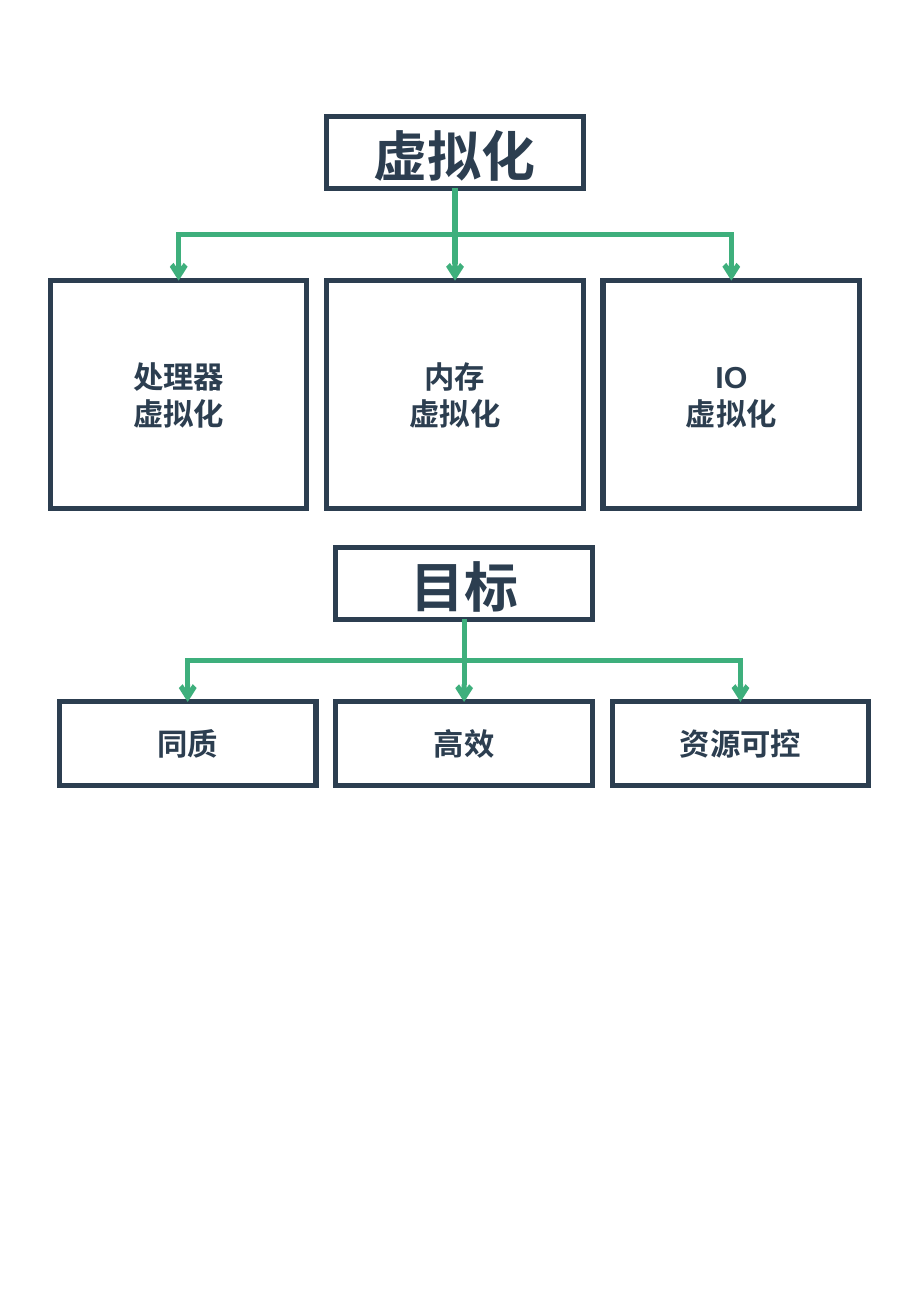
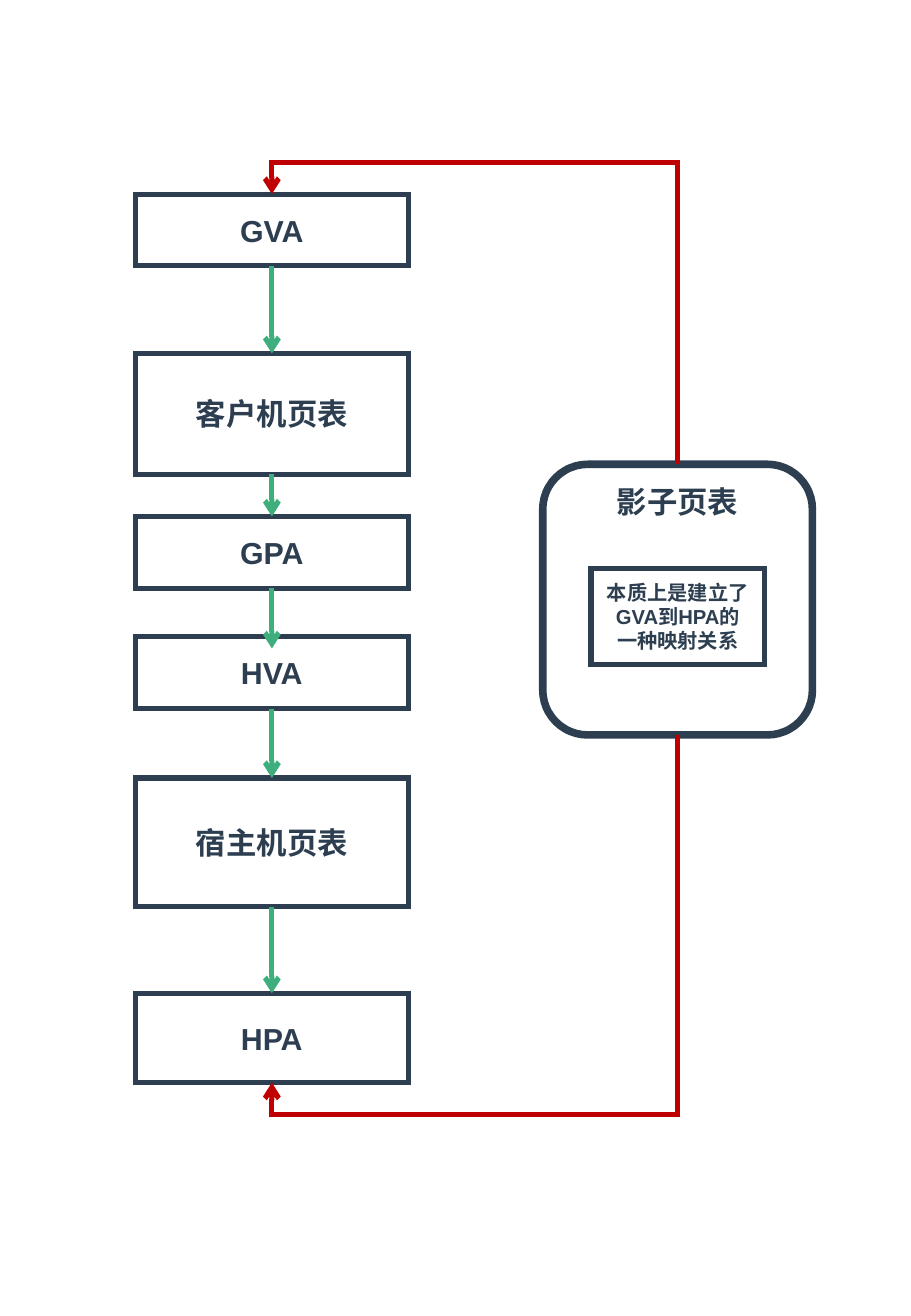
from lxml import etree
from pptx import Presentation, util as u
from pptx.dml import color
from pptx.enum import shapes, text
from pptx.oxml import ns

Cm, Pt = u.Cm, u.Pt
rgb = color.RGBColor.from_string
NAVY, GREEN, RED = "2C3E50", "3EAF7C", "C00000"
TOP, MIDDLE = text.MSO_ANCHOR.TOP, text.MSO_ANCHOR.MIDDLE
RECT, ROUND = shapes.MSO_SHAPE.RECTANGLE, shapes.MSO_SHAPE.ROUNDED_RECTANGLE
STRAIGHT, ELBOW = shapes.MSO_CONNECTOR.STRAIGHT, shapes.MSO_CONNECTOR.ELBOW


def box(s, x, y, w, h, lines, size=18, anchor=MIDDLE, kind=RECT, weight=3):
    sp = s.shapes.add_shape(kind, Cm(x), Cm(y), Cm(w), Cm(h))
    sp.shadow.inherit = False
    sp.fill.background()
    sp.line.color.rgb = rgb(NAVY)
    sp.line.width = Pt(weight)
    etree.SubElement(sp.line._ln, ns.qn("a:miter"), lim="800000")
    tf = sp.text_frame
    tf.word_wrap = True
    tf.vertical_anchor = anchor
    fmt = {"name": "Arial", "size": Pt(size), "bold": True}
    for i, line in enumerate(lines.split("\n")):
        p = tf.paragraphs[0] if i == 0 else tf.add_paragraph()
        p.alignment = text.PP_ALIGN.CENTER
        r = p.add_run()
        r.text = line
        for key, value in fmt.items():
            setattr(r.font, key, value)
        r.font.color.rgb = rgb(NAVY)


def arrow(s, x1, y1, x2, y2, hue=GREEN, turn=None):
    if x1 == x2:
        c = s.shapes.add_connector(STRAIGHT, Cm(x1), Cm(y1), Cm(x2), Cm(y2))
    else:
        mx, my = (x1 + x2) / 2, (y1 + y2) / 2
        dx, dy = abs(y2 - y1) / 2, abs(x2 - x1) / 2
        if (x2 > x1) == (y2 > y1):
            dy = -dy
        c = s.shapes.add_connector(ELBOW, Cm(mx - dx), Cm(my - dy), Cm(mx + dx), Cm(my + dy))
        spPr = c._element.spPr
        spPr.find(ns.qn("a:xfrm")).set("rot", "5400000" if y2 > y1 else "16200000")
        ratio = 0.5 if turn is None else (turn - y1) / (y2 - y1)
        av = spPr.find(ns.qn("a:prstGeom")).get_or_add_avLst()
        etree.SubElement(av, ns.qn("a:gd"), name="adj1", fmla=f"val {round(ratio * 100000)}")
    c.line.color.rgb = rgb(hue)
    c.line.width = Pt(3)
    ln = c.line._ln
    etree.SubElement(ln, ns.qn("a:miter"), lim="800000")
    etree.SubElement(ln, ns.qn("a:tailEnd"), type="arrow")
    etree.SubElement(c._element.spPr, ns.qn("a:effectLst"))


prs = Presentation()
prs.slide_width, prs.slide_height = Cm(19.05), Cm(27.52)
blank = prs.slide_layouts[6]

s = prs.slides.add_slide(blank)
card_w, step, head_h = 5.37, 5.78, 1.5
trees = [
    ("虚拟化", 1.05, 2.44, 5.87, 4.77, ["处理器\n虚拟化", "内存\n虚拟化", "IO\n虚拟化"]),
    ("目标", 1.24, 11.45, 14.68, 1.75, ["同质", "高效", "资源可控"]),
]
for head, left, head_y, card_y, card_h, cards in trees:
    box(s, left + step, head_y, card_w, head_h, head, 32, TOP)
    root_x = left + step + card_w / 2
    for i, card in enumerate(cards):
        box(s, left + i * step, card_y, card_w, card_h, card)
    for i in (0, 2, 1):
        arrow(s, root_x, head_y + head_h, root_x + (i - 1) * step, card_y)

s = prs.slides.add_slide(blank)
col_x, col_w = 2.83, 5.71
mid_x = col_x + col_w / 2
stages = [
    ("GVA", 4.06, 1.5),
    ("客户机页表", 7.39, 2.53),
    ("GPA", 10.8, 1.5),
    ("HVA", 13.32, 1.5),
    ("宿主机页表", 16.27, 2.69),
    ("HPA", 20.77, 1.87),
]
for name, y, h in stages:
    box(s, col_x, y, col_w, h, name)
for (_, y, h), (name, next_y, _) in zip(stages, stages[1:]):
    overlap = 0.24 if name == "HVA" else 0
    arrow(s, mid_x, y + h, mid_x, next_y + overlap)

shadow_x, shadow_y, shadow_w, shadow_h = 11.35, 9.71, 5.64, 5.66
shadow_mid = shadow_x + shadow_w / 2
box(s, shadow_x, shadow_y, shadow_w, shadow_h, "影子页表", 18, TOP, ROUND, 4.5)
box(s, 12.36, 11.89, 3.63, 2, "本质上是建立了\nGVA到HPA的\n一种映射关系", 12)
first_top = stages[0][1]
last_bottom = stages[-1][1] + stages[-1][2]
arrow(s, shadow_mid, shadow_y, mid_x, first_top, RED, first_top - 0.66)
arrow(s, shadow_mid, shadow_y + shadow_h, mid_x, last_bottom, RED, last_bottom + 0.66)

prs.save("out.pptx")
